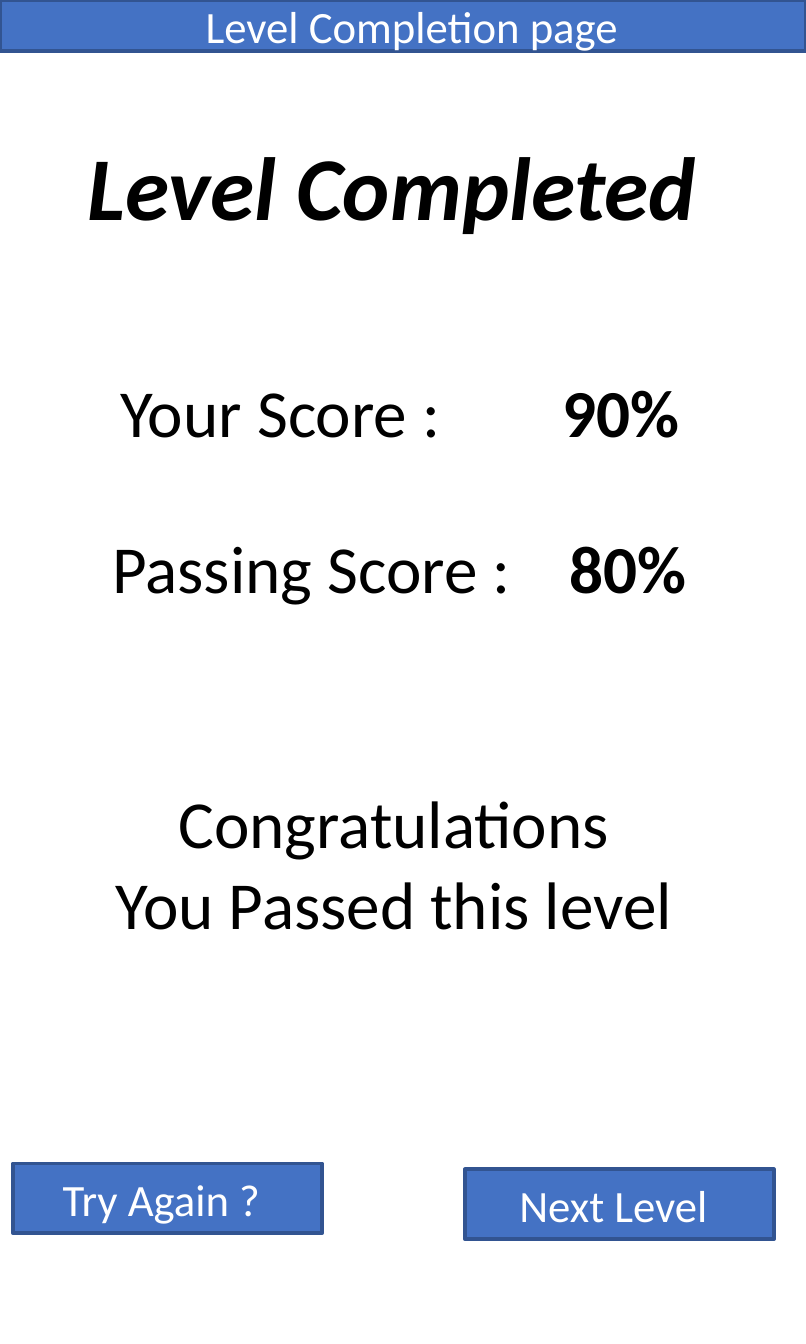
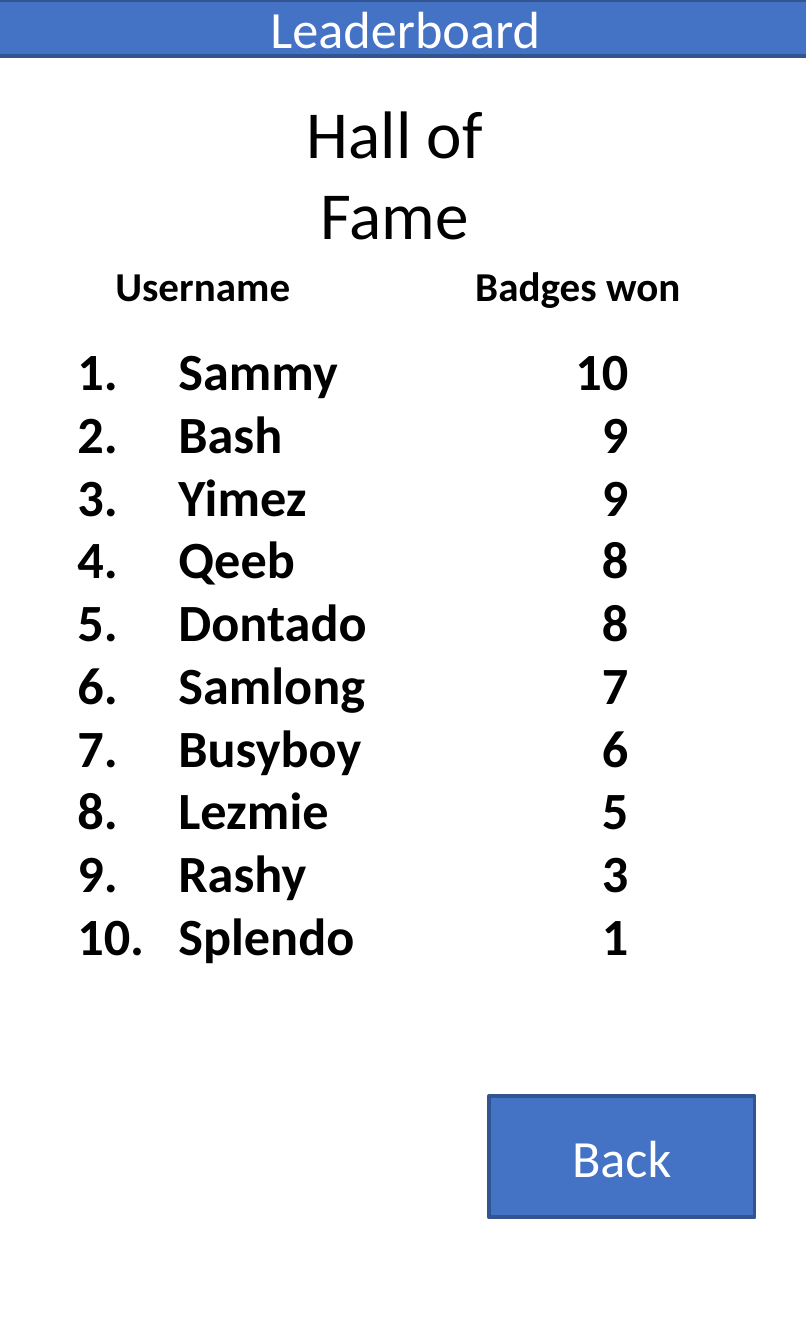
from pptx import Presentation
from pptx.dml.color import RGBColor
from pptx.enum.shapes import MSO_SHAPE as Shape
from pptx.enum.text import MSO_ANCHOR as Anchor, MSO_AUTO_SIZE as AutoSize, PP_ALIGN as Align
from pptx.oxml.ns import qn
from pptx.util import Inches, Pt
from lxml.etree import SubElement

COLORS = {"blue": "4472C4", "edge": "325491", "white": "FFFFFF", "black": "000000"}
FONT = "Calibri"
INSET = 27

SLIDES = [
    {
        "title": ("Level Completed", (44, 116, 696, 150),
                  {"size": Pt(24), "bold": True, "italic": True}, 0.9, Anchor.MIDDLE),
        "boxes": [
            ("Level Completion page", (0, 0, 806, 51), 12, 9),
            ("Try Again ?", (13, 1163, 309, 70), 12, -6),
            ("Next Level", (465, 1169, 309, 70), 12, -6),
        ],
    },
    {
        "title": ("Hall of Fame", (199, 78, 392, 107), {"size": Pt(18)}, 1.0, Anchor.TOP),
        "boxes": [
            ("Leaderboard", (-3, 0, 817, 56), 14, 0),
            ("Back", (489, 1096, 266, 121), 14, 0),
        ],
    },
]
SCORES = [
    ("Your Score :", "90%", (94, 357, 717, 107), 442),
    ("Passing Score :", "80%", (86, 513, 717, 107), 457),
]
PRAISE = ["Congratulations", "You Passed this level"]
HEADINGS = ["Username", "Badges won"]
HEADING_TABS = [38, 398]
LEADERS = [
    ("Sammy", 10), ("Bash", 9), ("Yimez", 9), ("Qeeb", 8), ("Dontado", 8),
    ("Samlong", 7), ("Busyboy", 6), ("Lezmie", 5), ("Rashy", 3), ("Splendo", 1),
]
LIST_TOP, LIST_HEIGHT, NUMBER_INDENT = 325, 723, 101


def px(length):
    return round(length * 914400 / 268.7)


def place(shape, frame):
    for name, length in zip(("left", "top", "width", "height"), frame):
        setattr(shape, name, px(length))


def style(run, color="black", **values):
    for name, value in {"name": FONT, **values}.items():
        setattr(run.font, name, value)
    run.font.color.rgb = RGBColor.from_string(COLORS[color])


def add_run(paragraph, text, **values):
    run = paragraph.add_run()
    run.text = text
    style(run, **values)


def add_title(slide, text, frame, font, spacing, anchor):
    title = slide.shapes.title
    place(title, frame)
    text_frame = title.text_frame
    text_frame.auto_size = AutoSize.NONE
    text_frame.vertical_anchor = anchor
    paragraph = text_frame.paragraphs[0]
    paragraph.alignment = Align.CENTER
    paragraph.line_spacing = spacing
    add_run(paragraph, text, **font)


def add_box(slide, text, frame, size, shift):
    box = slide.shapes.add_shape(Shape.RECTANGLE, *map(px, frame))
    box.shadow.inherit = False
    box.fill.solid()
    box.fill.fore_color.rgb = RGBColor.from_string(COLORS["blue"])
    box.line.color.rgb = RGBColor.from_string(COLORS["edge"])
    box.line.width = Pt(1)
    text_frame = box.text_frame
    text_frame.vertical_anchor = Anchor.MIDDLE
    text_frame.margin_left = px(INSET + 2 * shift)
    text_frame.margin_right = px(INSET)
    paragraph = text_frame.paragraphs[0]
    paragraph.alignment = Align.CENTER
    add_run(paragraph, text, color="white", size=Pt(size))


def add_text(slide, frame, lines, align=Align.LEFT, **font):
    text_frame = slide.shapes.add_textbox(*map(px, frame)).text_frame
    text_frame.word_wrap = True
    text_frame.auto_size = AutoSize.SHAPE_TO_FIT_TEXT
    for index, line in enumerate(lines):
        paragraph = text_frame.add_paragraph() if index else text_frame.paragraphs[0]
        paragraph.alignment = align
        add_run(paragraph, line, **font)
    return text_frame.paragraphs


def set_tabs(paragraph, positions):
    tabs = SubElement(paragraph._p.get_or_add_pPr(), qn("a:tabLst"))
    for position in positions:
        SubElement(tabs, qn("a:tab"), pos=str(px(position)), algn="l")


def number(paragraph):
    properties = paragraph._p.get_or_add_pPr()
    properties.set("marL", str(px(NUMBER_INDENT)))
    properties.set("indent", str(-px(NUMBER_INDENT)))
    SubElement(properties, qn("a:buFont"), typeface="+mj-lt")
    SubElement(properties, qn("a:buAutoNum"), type="arabicPeriod")


presentation = Presentation()
presentation.slide_width, presentation.slide_height = Inches(3), Inches(5)
title_only = presentation.slide_layouts[5]
slides = []
for content in SLIDES:
    slide = presentation.slides.add_slide(title_only)
    add_title(slide, *content["title"])
    for box in content["boxes"]:
        add_box(slide, *box)
    slides.append(slide)
completion, leaderboard = slides

for label, score, frame, tab in SCORES:
    paragraph = add_text(completion, frame, [label + "\t"], size=Pt(18))[0]
    add_run(paragraph, score, size=Pt(18), bold=True)
    set_tabs(paragraph, [tab])
add_text(completion, (0, 768, 788, 191), PRAISE, Align.CENTER, size=Pt(18))

headings = "".join("\t" + heading for heading in HEADINGS)
set_tabs(add_text(leaderboard, (51, 247, 701, 78), [headings], size=Pt(11), bold=True)[0],
         HEADING_TABS)
names, badges = zip(*LEADERS)
for paragraph in add_text(leaderboard, (51, LIST_TOP, 450, LIST_HEIGHT), names,
                          size=Pt(14), bold=True):
    number(paragraph)
add_text(leaderboard, (501, LIST_TOP, 154, LIST_HEIGHT), map(str, badges),
         Align.RIGHT, size=Pt(14), bold=True)

presentation.save("out.pptx")
